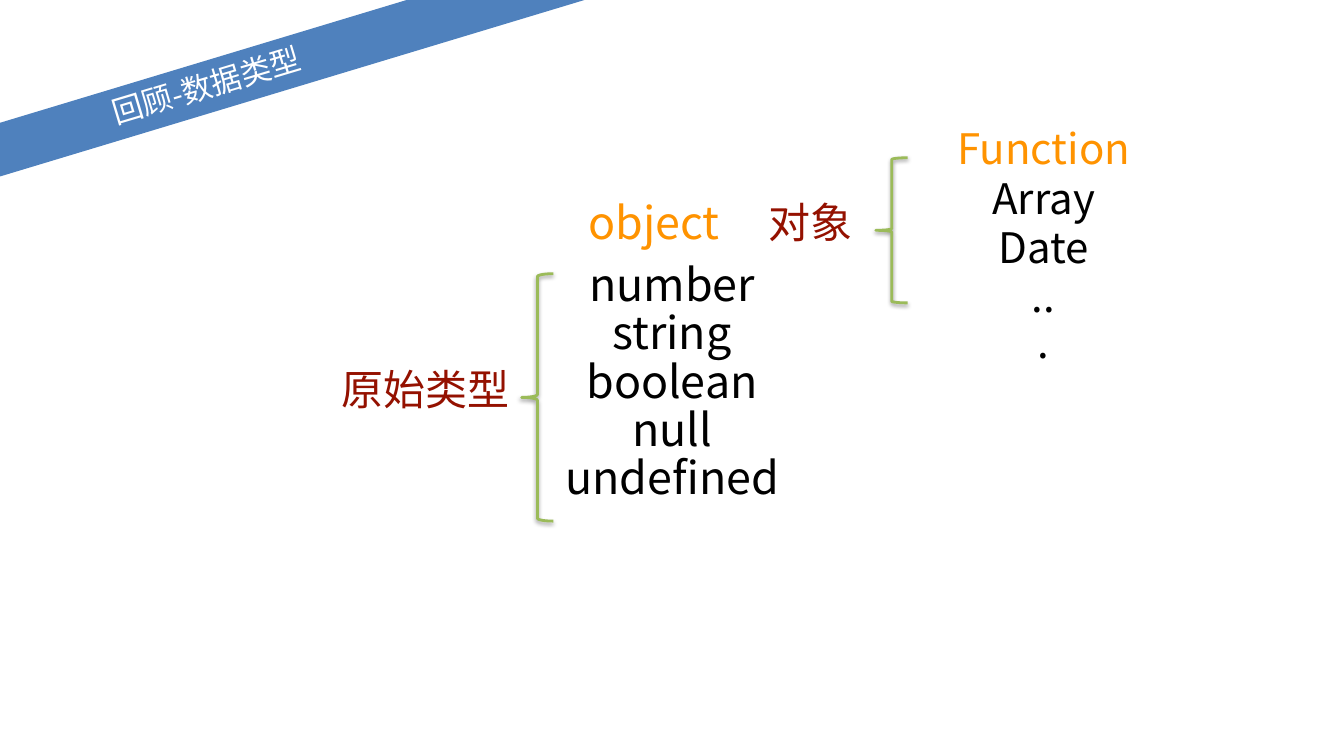
from lxml import etree
from pptx import Presentation
from pptx.dml.color import RGBColor
from pptx.enum.shapes import MSO_SHAPE
from pptx.enum.text import MSO_ANCHOR, MSO_AUTO_SIZE, PP_ALIGN
from pptx.oxml.ns import qn
from pptx.util import Inches, Pt

CENTER = PP_ALIGN.CENTER
TOP, MIDDLE = MSO_ANCHOR.TOP, MSO_ANCHOR.MIDDLE
GROW, FIXED = MSO_AUTO_SIZE.SHAPE_TO_FIT_TEXT, MSO_AUTO_SIZE.NONE
RECTANGLE, LEFT_BRACE = MSO_SHAPE.RECTANGLE, MSO_SHAPE.LEFT_BRACE
FONT = "Noto Sans CJK SC"
COLORS = {
    "black": "000000",
    "white": "FFFFFF",
    "red": "941100",
    "orange": "FF9300",
    "green": "9BBB59",
    "blue": "4F81BD",
}


def write_text(shape, text, size=60, color="black", inset=0.1, anchor=TOP, fit=GROW):
    frame = shape.text_frame
    frame.word_wrap = True
    frame.auto_size = fit
    frame.vertical_anchor = anchor
    frame.margin_left = frame.margin_right = Inches(inset)
    frame.margin_top = frame.margin_bottom = Inches(inset)
    frame.text = text
    for paragraph in frame.paragraphs:
        paragraph.alignment = CENTER
        paragraph.line_spacing = 0.9
        font = paragraph.runs[0].font
        font.size = Pt(size)
        font.name = FONT
        font.color.rgb = RGBColor.from_string(COLORS[color])
        east_asian = etree.SubElement(font._element, qn("a:ea"))
        east_asian.set("typeface", FONT)


presentation = Presentation()
presentation.slide_width = Inches(26.67)
presentation.slide_height = Inches(15)
slide = presentation.slides.add_slide(presentation.slide_layouts[6])

braces = [
    (10.35, 5.43, 4.91, 0.09),
    (17.38, 3.13, 2.88, 0.055),
]
for left, top, height, curve in braces:
    brace = slide.shapes.add_shape(
        LEFT_BRACE, Inches(left), Inches(top), Inches(0.63), Inches(height)
    )
    brace.adjustments[0] = curve
    brace.fill.background()
    brace.line.color.rgb = RGBColor.from_string(COLORS["green"])
    brace.line.width = Pt(4)
    brace.shadow.inherit = False
    effects = brace._element.spPr.find(qn("a:effectLst"))
    shadow = etree.SubElement(
        effects, qn("a:outerShdw"), blurRad=str(Pt(6)), dist=str(Pt(3)),
        dir="5400000", rotWithShape="0",
    )
    shadow_color = etree.SubElement(shadow, qn("a:srgbClr"), val=COLORS["black"])
    etree.SubElement(shadow_color, qn("a:alpha"), val="38000")

primitive_types = "\n".join(["number", "string", "boolean", "null", "undefined"])
labels = [
    (primitive_types, 11.01, 5.11, 4.65, 5.63, 64, "black"),
    ("原始类型", 6.57, 7.23, 3.74, 1.3, 60, "red"),
    ("object", 11.54, 3.89, 2.87, 1.38, 64, "orange"),
    ("对象", 14.21, 3.92, 3.74, 1.3, 60, "red"),
]
object_kinds = [
    ("Function", 3.68, "orange"),
    ("Array", 2.34, "black"),
    ("Date", 2.09, "black"),
    ("...", 0.82, "black"),
]
for row, (text, width, color) in enumerate(object_kinds):
    labels.append((text, 20.71 - width / 2, 2.45 + 0.98 * row, width, 1.3, 60, color))

for text, left, top, width, height, size, color in labels:
    label = slide.shapes.add_textbox(
        Inches(left), Inches(top), Inches(width), Inches(height)
    )
    write_text(label, text, size=size, color=color)

ribbon = slide.shapes.add_shape(
    RECTANGLE, Inches(-4.99), Inches(1.22), Inches(18.19), Inches(1.02)
)
ribbon.rotation = 343.2
ribbon.shadow.inherit = False
ribbon.fill.solid()
ribbon.fill.fore_color.rgb = RGBColor.from_string(COLORS["blue"])
ribbon.line.fill.background()
write_text(
    ribbon, "回顾-数据类型", size=43.8, color="white", inset=0, anchor=MIDDLE, fit=FIXED
)

presentation.save("out.pptx")
